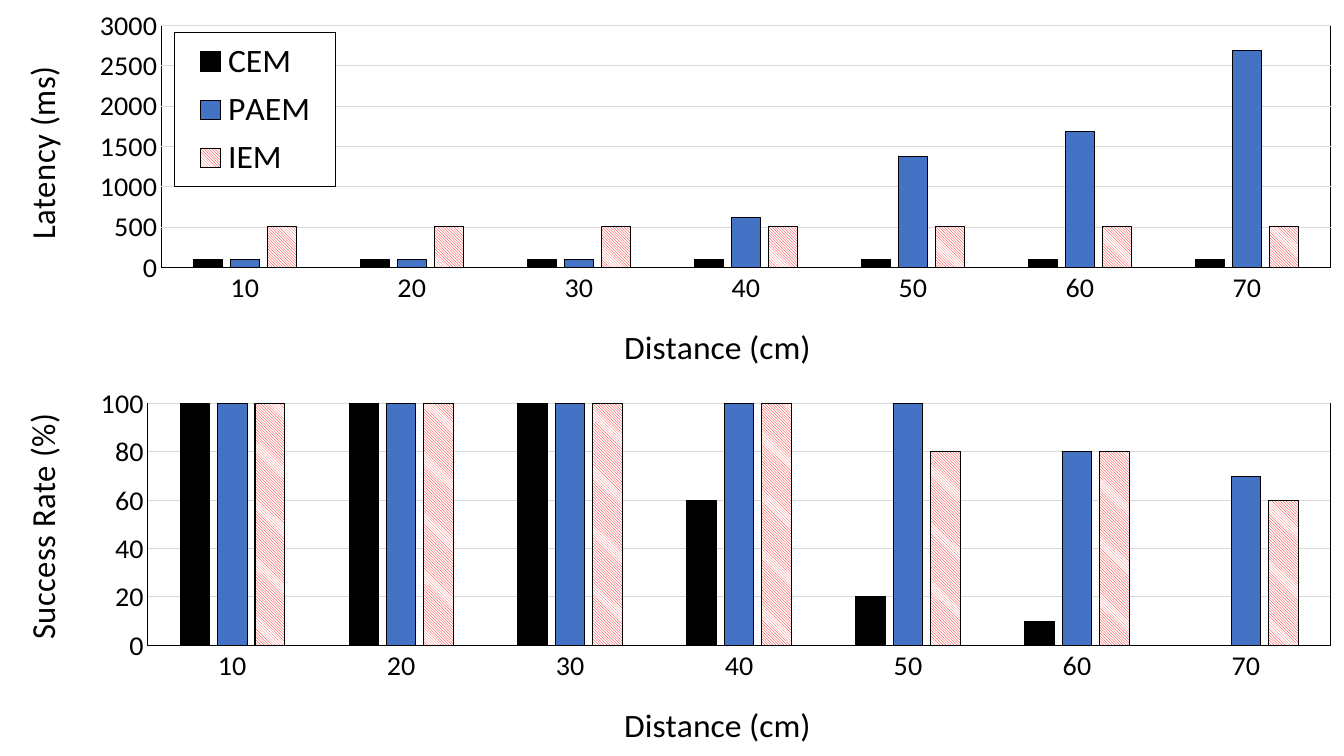
"""Build a slide comparing latency and success rate of three models over distance."""
from lxml.etree import SubElement
from pptx import Presentation
from pptx.chart.data import CategoryChartData
from pptx.dml.color import RGBColor
from pptx.enum.chart import XL_CHART_TYPE, XL_LEGEND_POSITION, XL_TICK_MARK
from pptx.enum.dml import MSO_PATTERN
from pptx.oxml import parse_xml
from pptx.oxml.ns import nsdecls, qn
from pptx.util import Inches, Pt

COLORS = {
    "black": "000000",
    "blue": "4472C4",
    "red": "FF0000",
    "white": "FFFFFF",
    "grid": "D9D9D9",
}
DISTANCES = [str(distance) for distance in range(10, 80, 10)]
LATENCY = {
    "CEM": [100] * 7,
    "PAEM": [100, 100, 100, 620, 1370, 1680, 2690],
    "IEM": [510] * 7,
}
SUCCESS = {
    "CEM": [100, 100, 100, 60, 20, 10, 0],
    "PAEM": [100, 100, 100, 100, 100, 80, 70],
    "IEM": [100, 100, 100, 100, 80, 80, 60],
}


def color(name):
    return RGBColor.from_string(COLORS[name])


class ChartSlide:
    """Hold the style and the slide, and draw charts in equal rows."""

    font_name = "Calibri"
    title_size = Pt(24)
    label_size = Pt(20)
    line_width = Pt(0.75)

    def __init__(self, presentation, rows):
        self.slide = presentation.slides.add_slide(presentation.slide_layouts[6])
        self.width = presentation.slide_width
        self.row_height = presentation.slide_height // rows

    def style_font(self, font, size):
        font.name = self.font_name
        font.size = size
        font.bold = False
        font.color.rgb = color("black")

    def style_line(self, line, name="black"):
        line.width = self.line_width
        line.color.rgb = color(name)

    def place(self, element, index, **shares):
        for old_layout in element.findall(qn("c:layout")):
            element.remove(old_layout)
        layout = element.makeelement(qn("c:layout"))
        manual = SubElement(layout, qn("c:manualLayout"))
        if element.tag == qn("c:plotArea"):
            SubElement(manual, qn("c:layoutTarget")).set("val", "inner")
        for side in ("x", "y"):
            SubElement(manual, qn(f"c:{side}Mode")).set("val", "edge")
        for key, share in shares.items():
            SubElement(manual, qn(f"c:{key}")).set("val", str(share))
        element.insert(index, layout)

    def frame(self, fill):
        return parse_xml(
            f'<c:spPr {nsdecls("c", "a")}>{fill}<a:ln w="{self.line_width}">'
            f'<a:solidFill><a:srgbClr val="{COLORS["black"]}"/></a:solidFill>'
            "</a:ln></c:spPr>"
        )

    def axis(self, axis, title, x, y):
        axis.major_tick_mark = axis.minor_tick_mark = XL_TICK_MARK.NONE
        self.style_font(axis.tick_labels.font, self.label_size)
        text_frame = axis.axis_title.text_frame
        text_frame.text = title
        self.style_font(text_frame.paragraphs[0].runs[0].font, self.title_size)
        self.place(text_frame.paragraphs[0]._p.xpath("ancestor::c:title")[0], 1, x=x, y=y)

    def paint_series(self, series):
        fill = series.format.fill
        if series.name == "IEM":
            fill.patterned()
            fill.pattern = MSO_PATTERN.DARK_DOWNWARD_DIAGONAL
            fill.fore_color.rgb = color("red")
            fill.back_color.rgb = color("white")
        else:
            fill.solid()
            fill.fore_color.rgb = color("black" if series.name == "CEM" else "blue")
        self.style_line(series.format.line)
        series.invert_if_negative = False

    def columns(self, row, values, title, title_top, maximum, step, plot_area):
        data = CategoryChartData()
        data.categories = DISTANCES
        for name, numbers in values.items():
            data.add_series(name, numbers)
        chart = self.slide.shapes.add_chart(
            XL_CHART_TYPE.COLUMN_CLUSTERED, 0, row * self.row_height,
            self.width, self.row_height, data,
        ).chart
        chart.has_title = chart.has_legend = False
        self.style_font(chart.font, self.title_size)
        plot = chart.plots[0]
        plot.gap_width, plot.overlap, plot.vary_by_categories = 219, -27, False
        for series in plot.series:
            self.paint_series(series)

        self.axis(chart.category_axis, "Distance (cm)", 0.46, 0.87)
        self.style_line(chart.category_axis.format.line)
        value_axis = chart.value_axis
        self.axis(value_axis, title, 0.01, title_top)
        value_axis.minimum_scale, value_axis.maximum_scale = 0, maximum
        value_axis.major_unit = step
        value_axis.format.line.fill.background()
        self.style_line(value_axis.major_gridlines.format.line, "grid")

        area = chart.element.xpath(".//c:plotArea")[0]
        self.place(area, 0, **dict(zip("xywh", plot_area)))
        area.append(self.frame("<a:noFill/>"))
        return chart

    def legend(self, chart):
        chart.has_legend = True
        chart.legend.position = XL_LEGEND_POSITION.BOTTOM
        chart.legend.include_in_layout = True
        self.style_font(chart.legend.font, self.title_size)
        element = chart.element.xpath(".//c:legend")[0]
        self.place(element, 1, x=0.13, y=0.09, w=0.12, h=0.42)
        white = f'<a:solidFill><a:srgbClr val="{COLORS["white"]}"/></a:solidFill>'
        element.find(qn("c:overlay")).addnext(self.frame(white))


def main():
    presentation = Presentation()
    presentation.slide_width = Inches(13.33)
    presentation.slide_height = Inches(7.5)
    page = ChartSlide(presentation, rows=2)
    latency = page.columns(
        0, LATENCY, "Latency (ms)", 0.18, 3000, 500, (0.12, 0.07, 0.87, 0.66)
    )
    page.legend(latency)
    page.columns(
        1, SUCCESS, "Success Rate (%)", 0.1, 100, 20, (0.11, 0.07, 0.88, 0.66)
    )
    presentation.save("out.pptx")


if __name__ == "__main__":
    main()
